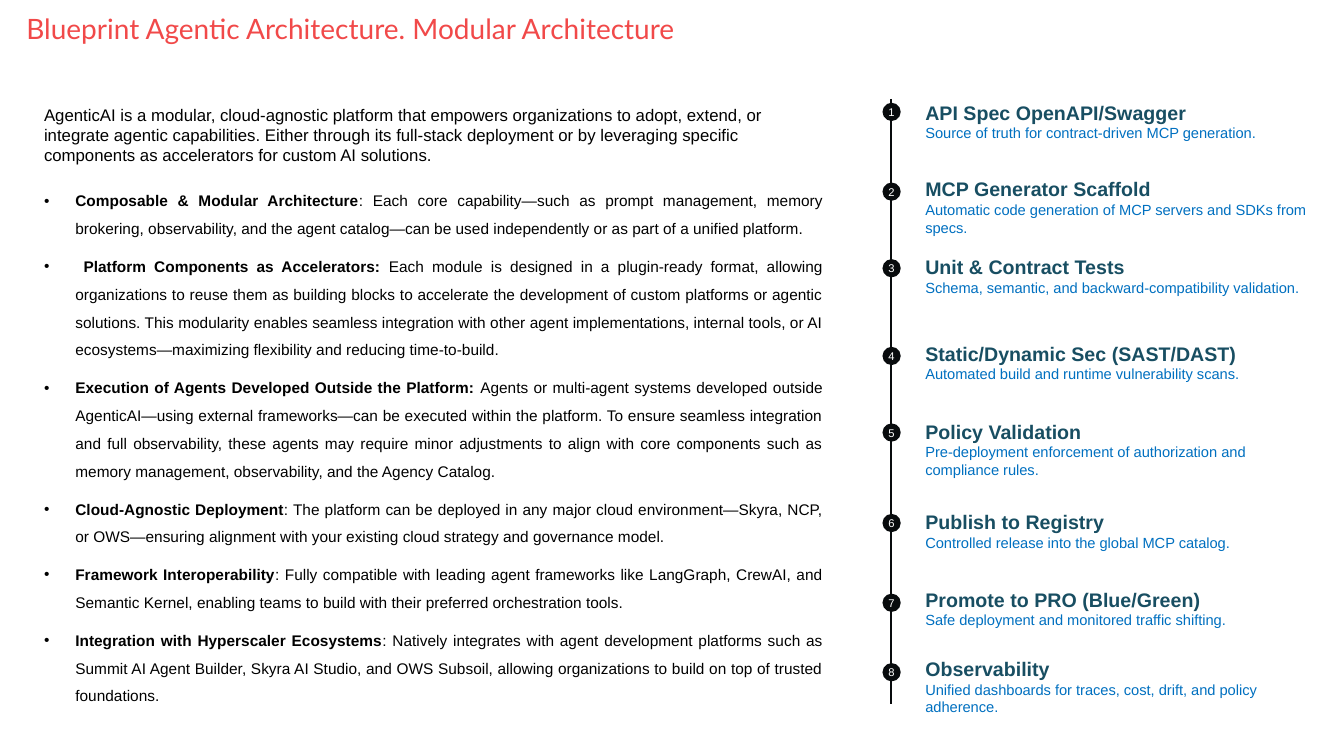
from dataclasses import dataclass

from lxml.etree import SubElement
from pptx import Presentation
from pptx.dml.color import RGBColor
from pptx.enum.shapes import MSO_CONNECTOR, MSO_SHAPE
from pptx.enum.text import MSO_ANCHOR, MSO_AUTO_SIZE, PP_ALIGN
from pptx.oxml.ns import qn
from pptx.util import Cm, Pt

# Content
TITLE = "Blueprint Agentic Architecture. Modular Architecture"
INTRO = (
    "AgenticAI is a modular, cloud-agnostic platform that empowers organizations to adopt, "
    "extend, or integrate agentic capabilities. Either through its full-stack deployment or by "
    "leveraging specific components as accelerators for custom AI solutions."
)
# Bold lead, explanation
CAPABILITIES = [
    ("Composable & Modular Architecture",
     ": Each core capability—such as prompt management, memory brokering, observability, and "
     "the agent catalog—can be used independently or as part of a unified platform."),
    (" Platform Components as Accelerators: ",
     "Each module is designed in a plugin-ready format, allowing organizations to reuse them as "
     "building blocks to accelerate the development of custom platforms or agentic solutions. "
     "This modularity enables seamless integration with other agent implementations, internal "
     "tools, or AI ecosystems—maximizing flexibility and reducing time-to-build."),
    ("Execution of Agents Developed Outside the Platform: ",
     "Agents or multi-agent systems developed outside AgenticAI—using external frameworks—can be "
     "executed within the platform. To ensure seamless integration and full observability, these "
     "agents may require minor adjustments to align with core components such as memory "
     "management, observability, and the Agency Catalog."),
    ("Cloud-Agnostic Deployment",
     ": The platform can be deployed in any major cloud environment—Skyra, NCP, or OWS—ensuring "
     "alignment with your existing cloud strategy and governance model."),
    ("Framework Interoperability",
     ": Fully compatible with leading agent frameworks like LangGraph, CrewAI, and Semantic "
     "Kernel, enabling teams to build with their preferred orchestration tools."),
    ("Integration with Hyperscaler Ecosystems",
     ": Natively integrates with agent development platforms such as Summit AI Agent Builder, "
     "Skyra AI Studio, and OWS Subsoil, allowing organizations to build on top of trusted "
     "foundations."),
]
# Text top (cm), badge top (cm), heading, description
STEPS = [
    (2.54, 2.59, "API Spec OpenAPI/Swagger",
     "Source of truth for contract-driven MCP generation."),
    (4.47, 4.6, "MCP Generator Scaffold",
     "Automatic code generation of MCP servers and SDKs from specs."),
    (6.43, 6.53, "Unit & Contract Tests",
     "Schema, semantic, and backward-compatibility validation."),
    (8.61, 8.74, "Static/Dynamic Sec (SAST/DAST)",
     "Automated build and runtime vulnerability scans."),
    (10.57, 10.67, "Policy Validation",
     "Pre-deployment enforcement of authorization and compliance rules."),
    (12.85, 12.95, "Publish to Registry",
     "Controlled release into the global MCP catalog."),
    (14.81, 14.96, "Promote to PRO (Blue/Green)",
     "Safe deployment and monitored traffic shifting."),
    (16.56, 16.71, "Observability",
     "Unified dashboards for traces, cost, drift, and policy adherence."),
]


@dataclass(frozen=True)
class Theme:
    title_font: str = "Lato"
    body_font: str = "Arial"
    coral: RGBColor = RGBColor(0xF1, 0x49, 0x49)
    black: RGBColor = RGBColor(0, 0, 0)
    ink: RGBColor = RGBColor(0x08, 0x0B, 0x0D)
    white: RGBColor = RGBColor(0xFF, 0xFF, 0xFF)
    teal: RGBColor = RGBColor(0x18, 0x4E, 0x62)
    blue: RGBColor = RGBColor(0x00, 0x70, 0xC0)
    title_size: float = 20
    intro_size: float = 12
    bullet_size: float = 11
    heading_size: float = 14
    description_size: float = 10.5
    badge_size: float = 8


THEME = Theme()
BULLET_INDENT = Cm(0.79)
BULLET_GAP = Pt(7.3)
STEP_LEFT, STEP_WIDTH, STEP_HEIGHT = 23.32, 9.7, 1.4
BADGE_LEFT, BADGE_SIZE = 22.24, 0.46
TIMELINE_X, TIMELINE_TOP, TIMELINE_BOTTOM = 22.45, 2.49, 17.73


def add_run(paragraph, text, size, color, bold=False, font=THEME.body_font):
    run = paragraph.add_run()
    run.text = text
    run.font.name = font
    run.font.size = Pt(size)
    run.font.bold = bold
    run.font.color.rgb = color


def set_no_margins(frame):
    frame.margin_left = frame.margin_top = frame.margin_right = frame.margin_bottom = 0


def add_text_frame(slide, left, top, width, height):
    frame = slide.shapes.add_textbox(Cm(left), Cm(top), Cm(width), Cm(height)).text_frame
    frame.word_wrap = True
    return frame


def paragraph_at(frame, index):
    return frame.paragraphs[0] if index == 0 else frame.add_paragraph()


def set_bullet(paragraph):
    properties = paragraph._p.get_or_add_pPr()
    properties.set("marL", str(BULLET_INDENT))
    properties.set("indent", str(-BULLET_INDENT))
    SubElement(properties, qn("a:buFont")).set("typeface", THEME.body_font)
    SubElement(properties, qn("a:buChar")).set("char", "•")


def add_title(slide):
    title = slide.shapes.title
    title.left, title.top, title.width, title.height = Cm(0.41), Cm(0.25), Cm(31.85), Cm(1.47)
    frame = title.text_frame
    frame.word_wrap = True
    frame.auto_size = MSO_AUTO_SIZE.NONE
    frame.vertical_anchor = MSO_ANCHOR.TOP
    paragraph = frame.paragraphs[0]
    paragraph.alignment = PP_ALIGN.LEFT
    paragraph.line_spacing = 0.9
    add_run(paragraph, TITLE, THEME.title_size, THEME.coral, font=THEME.title_font)


def add_capabilities(slide):
    frame = add_text_frame(slide, 0.86, 4.47, 20.14, 12.75)
    for index, (lead, explanation) in enumerate(CAPABILITIES):
        paragraph = paragraph_at(frame, index)
        set_bullet(paragraph)
        paragraph.alignment = PP_ALIGN.JUSTIFY
        paragraph.line_spacing = 1.5
        if index:
            paragraph.space_before = BULLET_GAP
        add_run(paragraph, lead, THEME.bullet_size, THEME.black, bold=True)
        add_run(paragraph, explanation, THEME.bullet_size, THEME.black)


def add_timeline(slide):
    line = slide.shapes.add_connector(
        MSO_CONNECTOR.STRAIGHT, Cm(TIMELINE_X), Cm(TIMELINE_TOP),
        Cm(TIMELINE_X), Cm(TIMELINE_BOTTOM))
    line.line.color.rgb = THEME.ink
    line.line.width = Pt(1)
    SubElement(line._element.spPr, qn("a:effectLst"))


def add_badge(slide, number, top):
    badge = slide.shapes.add_shape(
        MSO_SHAPE.OVAL, Cm(BADGE_LEFT), Cm(top), Cm(BADGE_SIZE), Cm(BADGE_SIZE))
    badge.shadow.inherit = False
    badge.fill.solid()
    badge.fill.fore_color.rgb = THEME.ink
    badge.line.fill.background()
    frame = badge.text_frame
    set_no_margins(frame)
    frame.word_wrap = False
    frame.vertical_anchor = MSO_ANCHOR.MIDDLE
    paragraph = frame.paragraphs[0]
    paragraph.alignment = PP_ALIGN.CENTER
    add_run(paragraph, str(number), THEME.badge_size, THEME.white)


def add_step_text(slide, top, heading, description):
    frame = add_text_frame(slide, STEP_LEFT, top, STEP_WIDTH, STEP_HEIGHT)
    set_no_margins(frame)
    add_run(frame.paragraphs[0], heading, THEME.heading_size, THEME.teal, bold=True)
    add_run(frame.add_paragraph(), description, THEME.description_size, THEME.blue)


def main():
    presentation = Presentation()
    presentation.slide_width, presentation.slide_height = Cm(33.87), Cm(19.05)
    slide = presentation.slides.add_slide(presentation.slide_layouts[5])

    # Title and platform description
    add_title(slide)
    intro = add_text_frame(slide, 0.86, 2.51, 19, 2.06)
    add_run(intro.paragraphs[0], INTRO, THEME.intro_size, THEME.black)
    add_capabilities(slide)

    # Numbered delivery steps
    add_timeline(slide)
    for number, (text_top, badge_top, heading, description) in enumerate(STEPS, start=1):
        add_badge(slide, number, badge_top)
        add_step_text(slide, text_top, heading, description)

    presentation.save("out.pptx")


if __name__ == "__main__":
    main()
